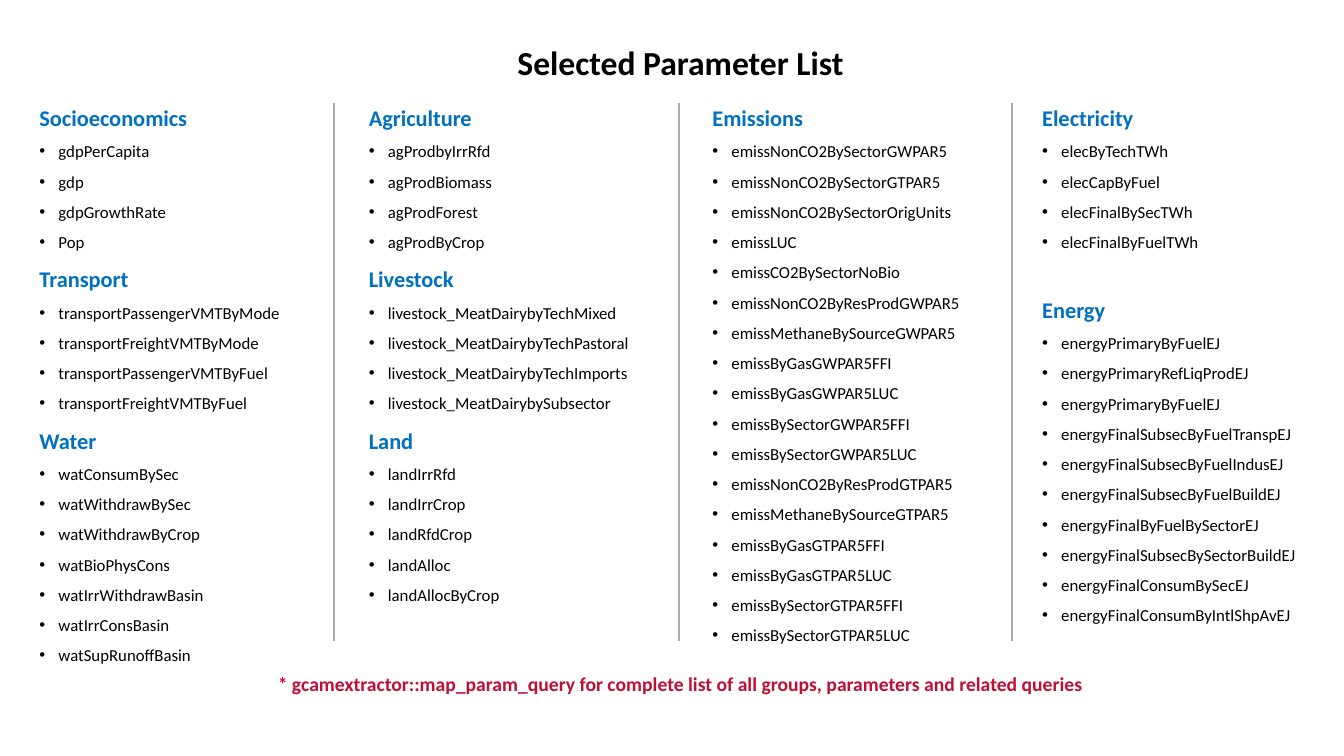
import pptx
import pptx.dml.color
import pptx.enum.shapes
import pptx.enum.text
import pptx.oxml
import pptx.oxml.ns
import pptx.util
from pptx.util import Cm, Pt

# Content
TITLE = "Selected Parameter List"
NOTE = ("* gcamextractor::map_param_query for complete list of all groups, "
        "parameters and related queries")

# One entry per column: left, width, height in cm, then groups of
# (heading, points of space above, parameters)
COLUMNS = [
    (0.74, 7.19, 14.81, [
        ("Socioeconomics", 0, ["gdpPerCapita", "gdp", "gdpGrowthRate", "Pop"]),
        ("Transport", 0, [
            "transportPassengerVMTByMode", "transportFreightVMTByMode",
            "transportPassengerVMTByFuel", "transportFreightVMTByFuel"]),
        ("Water", 0, [
            "watConsumBySec", "watWithdrawBySec", "watWithdrawByCrop",
            "watBioPhysCons", "watIrrWithdrawBasin", "watIrrConsBasin",
            "watSupRunoffBasin"]),
    ]),
    (9.04, 7.52, 14.02, [
        ("Agriculture", 0, [
            "agProdbyIrrRfd", "agProdBiomass", "agProdForest", "agProdByCrop"]),
        ("Livestock", 0, [
            "livestock_MeatDairybyTechMixed", "livestock_MeatDairybyTechPastoral",
            "livestock_MeatDairybyTechImports", "livestock_MeatDairybySubsector"]),
        ("Land", 0, [
            "landIrrRfd", "landIrrCrop", "landRfdCrop", "landAlloc",
            "landAllocByCrop"]),
    ]),
    (17.7, 7.19, 14.27, [
        ("Emissions", 0, [
            "emissNonCO2BySectorGWPAR5", "emissNonCO2BySectorGTPAR5",
            "emissNonCO2BySectorOrigUnits", "emissLUC", "emissCO2BySectorNoBio",
            "emissNonCO2ByResProdGWPAR5", "emissMethaneBySourceGWPAR5",
            "emissByGasGWPAR5FFI", "emissByGasGWPAR5LUC",
            "emissBySectorGWPAR5FFI", "emissBySectorGWPAR5LUC",
            "emissNonCO2ByResProdGTPAR5", "emissMethaneBySourceGTPAR5",
            "emissByGasGTPAR5FFI", "emissByGasGTPAR5LUC",
            "emissBySectorGTPAR5FFI", "emissBySectorGTPAR5LUC"]),
    ]),
    (26.01, 7.52, 13.77, [
        ("Electricity", 0, [
            "elecByTechTWh", "elecCapByFuel", "elecFinalBySecTWh",
            "elecFinalByFuelTWh"]),
        ("Energy", 21.75, [
            "energyPrimaryByFuelEJ", "energyPrimaryRefLiqProdEJ",
            "energyPrimaryByFuelEJ", "energyFinalSubsecByFuelTranspEJ",
            "energyFinalSubsecByFuelIndusEJ", "energyFinalSubsecByFuelBuildEJ",
            "energyFinalByFuelBySectorEJ", "energyFinalSubsecBySectorBuildEJ",
            "energyFinalConsumBySecEJ", "energyFinalConsumByIntlShpAvEJ"]),
    ]),
]
DIVIDERS = [8.41, 17.12, 25.5]

# Layout in cm
COLUMN_TOP = 2.16
DIVIDER_TOP, DIVIDER_BOTTOM = 2.59, 16.15
BANNER_LEFT, BANNER_WIDTH = 0.74, 32.82
INDENT = Cm(0.48)

BLACK, BLUE, RED, GREY = "000000", "0070C0", "BE0F34", "AFABAB"


def color(hex_code):
    return pptx.dml.color.RGBColor.from_string(hex_code)


def place(shape, left, top, width, height):
    shape.left, shape.top = Cm(left), Cm(top)
    shape.width, shape.height = Cm(width), Cm(height)
    frame = shape.text_frame
    frame.word_wrap = True
    frame.auto_size = pptx.enum.text.MSO_AUTO_SIZE.NONE
    frame.vertical_anchor = pptx.enum.text.MSO_ANCHOR.TOP
    return frame


def write(frame, text, size=12, fill=BLACK, bold=False, align="LEFT",
          spacing=1.0, before=0, bullet=False):
    paragraph = frame.paragraphs[0] if not frame.text else frame.add_paragraph()
    paragraph.alignment = getattr(pptx.enum.text.PP_ALIGN, align)
    paragraph.line_spacing = spacing
    paragraph.space_before = Pt(before)
    paragraph.space_after = Pt(0)
    run = paragraph.add_run()
    run.text = text
    run.font.name = "Calibri"
    run.font.size = Pt(size)
    run.font.bold = bold
    run.font.color.rgb = color(fill)
    # Bullet and hanging indent
    properties = paragraph._p.get_or_add_pPr()
    properties.set("marL", str(INDENT if bullet else 0))
    properties.set("indent", str(-INDENT if bullet else 0))
    marks = (['a:buFont typeface="Arial"', 'a:buChar char="•"'] if bullet
             else ["a:buNone"])
    for mark in marks:
        properties.append(pptx.oxml.parse_xml(
            f"<{mark} {pptx.oxml.ns.nsdecls('a')}/>"))


def add_divider(slide, x):
    divider = slide.shapes.add_connector(
        pptx.enum.shapes.MSO_CONNECTOR.STRAIGHT,
        Cm(x), Cm(DIVIDER_TOP), Cm(x), Cm(DIVIDER_BOTTOM))
    divider.line.color.rgb = color(GREY)
    divider.line.width = Pt(1.5)
    divider._element.spPr.append(pptx.oxml.parse_xml(
        f"<a:effectLst {pptx.oxml.ns.nsdecls('a')}/>"))


def main():
    deck = pptx.Presentation()
    deck.slide_width, deck.slide_height = Cm(33.87), Cm(19.05)
    # The comparison layout has a title and four body placeholders
    slide = deck.slides.add_slide(deck.slide_layouts[4])
    heading, *lists = slide.placeholders

    # Title
    write(place(heading, BANNER_LEFT, 0.94, BANNER_WIDTH, 1.27), TITLE,
          size=24, bold=True, align="CENTER")

    # Parameter columns
    for holder, (left, width, height, groups) in zip(lists, COLUMNS):
        column = place(holder, left, COLUMN_TOP, width, height)
        for group, gap, parameters in groups:
            write(column, group, size=16, fill=BLUE, bold=True, spacing=1.5,
                  before=gap)
            for parameter in parameters:
                write(column, parameter, spacing=1.5, bullet=True)

    # Dividers between columns
    for x in DIVIDERS:
        add_divider(slide, x)

    # Closing note
    note = slide.shapes.add_textbox(0, 0, 0, 0)
    write(place(note, BANNER_LEFT, 16.81, BANNER_WIDTH, 0.86), NOTE,
          size=14, fill=RED, bold=True, align="CENTER")

    deck.save("out.pptx")


if __name__ == "__main__":
    main()
